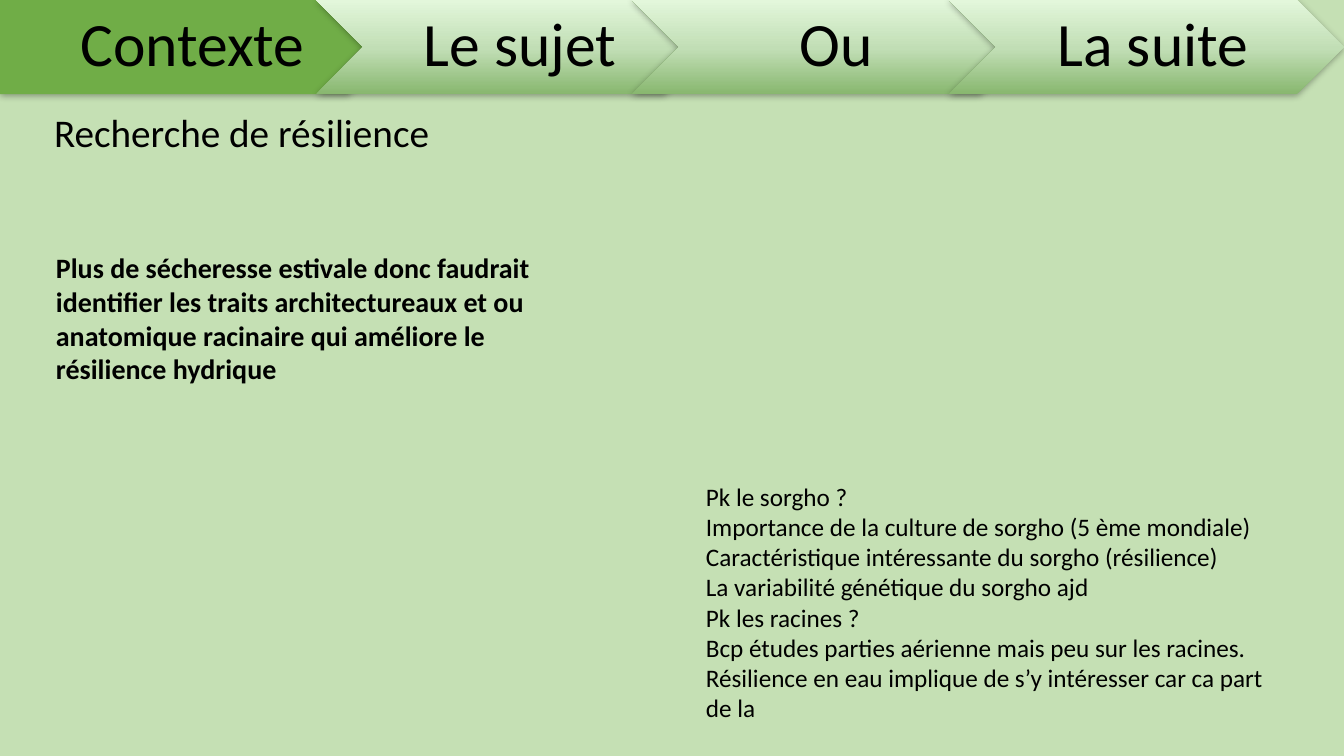
from lxml.etree import SubElement
from pptx import Presentation
from pptx.dml.color import RGBColor
from pptx.enum.shapes import MSO_SHAPE
from pptx.enum.text import MSO_ANCHOR, MSO_AUTO_SIZE, PP_ALIGN
from pptx.oxml.ns import qn
from pptx.util import Emu, Pt

EMU_PER_PX = 914400 / 100.8
WIDTH, HEIGHT = 1344, 756
FONT = "Calibri"
COLORS = {
    "background": "C5E0B4",
    "active": "70AD47",
    "text": "000000",
    "shadow": "000000",
}
# Gradient stops, from the bottom edge to the top
STEP_GRADIENT = [(0, "88B76F"), (48, "C1DEB5"), (100, "E3F7DB")]

STEPS = ["Contexte", "Le sujet", "Ou", "La suite"]
STEP_WIDTH, STEP_HEIGHT = 395, 94
LABEL_INSETS = (19, 13, 6, 13)

DROUGHT_TEXT = [
    "Plus de sécheresse estivale donc faudrait identifier les traits "
    "architectureaux et ou anatomique racinaire qui améliore le résilience hydrique",
]
SORGHUM_NOTES = [
    "Pk le sorgho ?",
    "Importance de la culture de sorgho (5 ème mondiale)",
    "Caractéristique intéressante du sorgho (résilience)",
    "La variabilité génétique du sorgho ajd",
    "Pk les racines ?",
    "Bcp études parties aérienne mais peu sur les racines.",
    "Résilience en eau implique de s’y intéresser car ca part de la",
]


def px(length):
    return Emu(round(length * EMU_PER_PX))


def color(name):
    return RGBColor.from_string(COLORS[name])


def write_lines(text_frame, lines, size, bold=False, align=PP_ALIGN.LEFT, spacing=1.0):
    text_frame.word_wrap = True
    for index, line in enumerate(lines):
        paragraph = text_frame.add_paragraph() if index else text_frame.paragraphs[0]
        paragraph.alignment = align
        paragraph.line_spacing = spacing
        run = paragraph.add_run()
        run.text = line
        run.font.name = FONT
        run.font.size = Pt(size)
        run.font.bold = bold
        run.font.color.rgb = color("text")


def add_text(slide, box, lines, size, bold=False):
    shape = slide.shapes.add_textbox(*map(px, box))
    write_lines(shape.text_frame, lines, size, bold)
    shape.text_frame.auto_size = MSO_AUTO_SIZE.SHAPE_TO_FIT_TEXT


def set_title(slide, box, text):
    title = slide.shapes.title
    title.left, title.top, title.width, title.height = map(px, box)
    title.text_frame.auto_size = MSO_AUTO_SIZE.NONE
    title.text_frame.vertical_anchor = MSO_ANCHOR.MIDDLE
    write_lines(title.text_frame, [text], 28, spacing=0.9)


def fill_gradient(shape):
    shape.fill.gradient()
    stops = shape.element.spPr.find(qn("a:gradFill")).find(qn("a:gsLst"))
    for stop in list(stops):
        stops.remove(stop)
    for position, hex_color in STEP_GRADIENT:
        stop = SubElement(stops, qn("a:gs"), pos=str(position * 1000))
        SubElement(stop, qn("a:srgbClr"), val=hex_color)
    # The angle runs counter-clockwise: 90 points from bottom to top
    shape.fill.gradient_angle = 90


def add_shadow(shape):
    shape.shadow.inherit = False
    effects = shape.element.spPr.find(qn("a:effectLst"))
    shadow = SubElement(effects, qn("a:outerShdw"), blurRad=str(Pt(5)),
                        dist=str(Pt(1)), dir="5400000", rotWithShape="0")
    shade = SubElement(shadow, qn("a:srgbClr"), val=COLORS["shadow"])
    SubElement(shade, qn("a:alpha"), val="32000")


def add_step(slide, index, name):
    left = index * (WIDTH - STEP_WIDTH) // (len(STEPS) - 1)
    is_active = index == 0

    # Arrow
    kind = MSO_SHAPE.PENTAGON if is_active else MSO_SHAPE.CHEVRON
    arrow = slide.shapes.add_shape(kind, px(left), 0, px(STEP_WIDTH), px(STEP_HEIGHT))
    arrow.line.fill.background()
    if is_active:
        arrow.fill.solid()
        arrow.fill.fore_color.rgb = color("active")
    else:
        fill_gradient(arrow)
    add_shadow(arrow)

    # Label
    label_left, label_width = (0, 372) if is_active else (left + 47, 301)
    label = slide.shapes.add_textbox(px(label_left), 0, px(label_width), px(STEP_HEIGHT))
    frame = label.text_frame
    (frame.margin_left, frame.margin_top,
     frame.margin_right, frame.margin_bottom) = map(px, LABEL_INSETS)
    frame.vertical_anchor = MSO_ANCHOR.MIDDLE
    write_lines(frame, [name], 44, align=PP_ALIGN.CENTER, spacing=0.9)


def main():
    presentation = Presentation()
    presentation.slide_width, presentation.slide_height = px(WIDTH), px(HEIGHT)
    slide = presentation.slides.add_slide(presentation.slide_layouts[5])
    slide.background.fill.solid()
    slide.background.fill.fore_color.rgb = color("background")

    # Body
    set_title(slide, (44, 101, 518, 67), "Recherche de résilience")
    add_text(slide, (696, 476, 601, 254), SORGHUM_NOTES, 18)
    add_text(slide, (46, 246, 540, 207), DROUGHT_TEXT, 20, bold=True)

    # Progress bar
    for index, name in enumerate(STEPS):
        add_step(slide, index, name)

    presentation.save("out.pptx")


if __name__ == "__main__":
    main()
